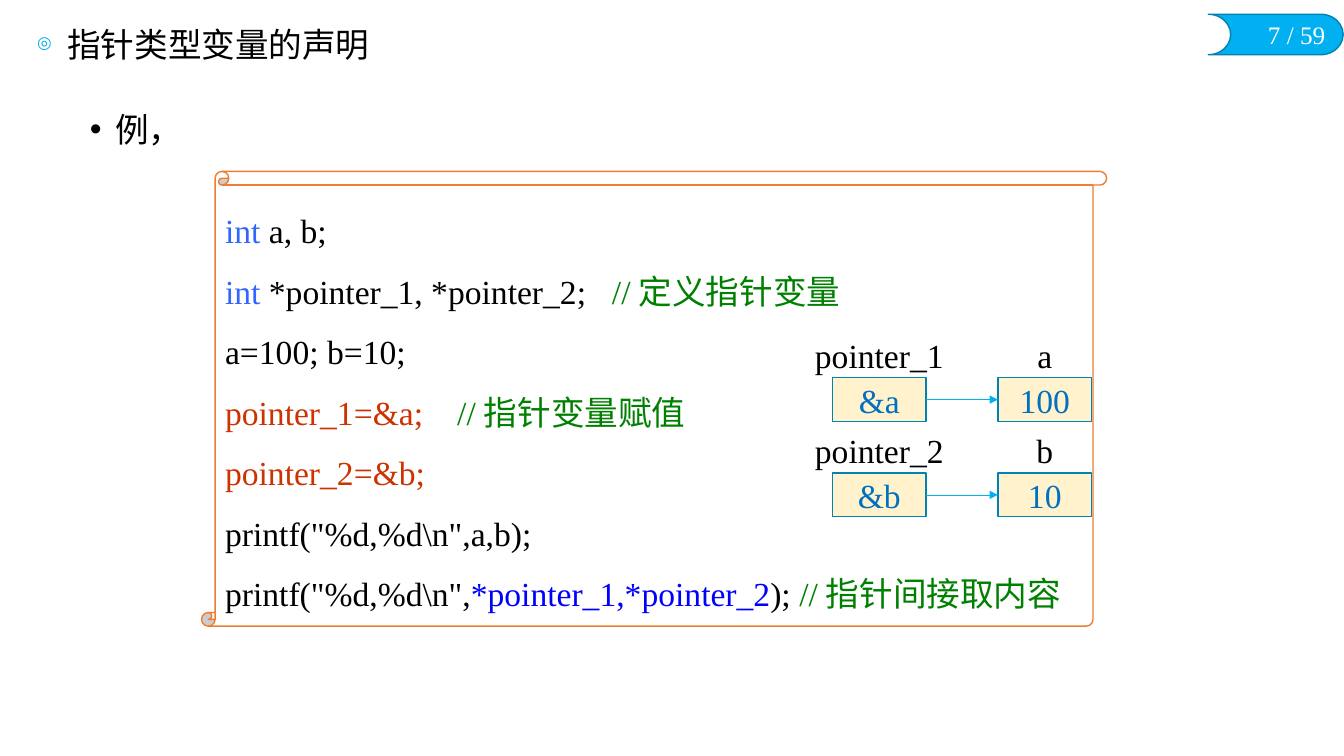
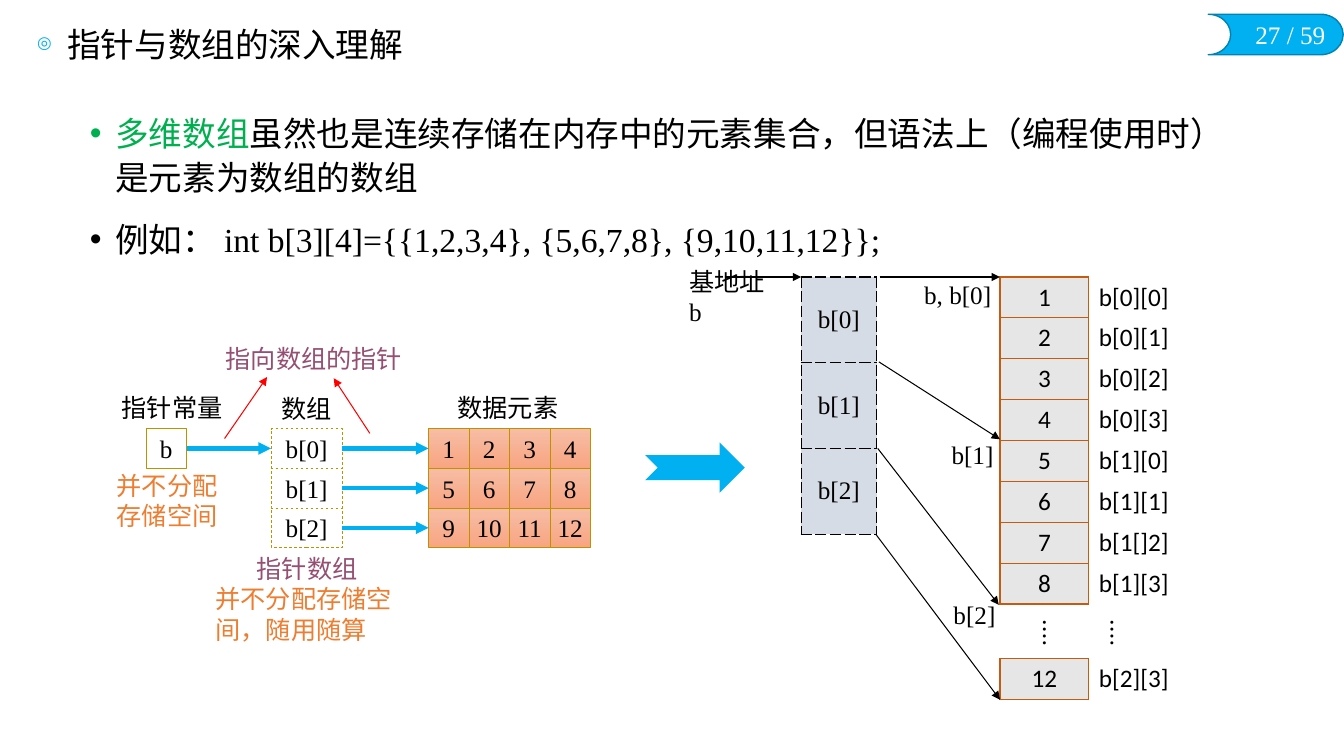
from lxml import etree
from pptx import Presentation
from pptx.dml.color import RGBColor
from pptx.enum.dml import MSO_LINE
from pptx.enum.shapes import MSO_CONNECTOR, MSO_SHAPE
from pptx.enum.text import MSO_ANCHOR, MSO_AUTO_SIZE, PP_ALIGN
from pptx.oxml.ns import qn
from pptx.util import Cm, Pt

RECT, SCROLL = MSO_SHAPE.RECTANGLE, MSO_SHAPE.VERTICAL_SCROLL
TAG, ARROW = MSO_SHAPE.FLOWCHART_STORED_DATA, MSO_SHAPE.NOTCHED_RIGHT_ARROW
LEFT, MID, RIGHT = PP_ALIGN.LEFT, PP_ALIGN.CENTER, PP_ALIGN.RIGHT
TOP, CENTRE = MSO_ANCHOR.TOP, MSO_ANCHOR.MIDDLE
FIXED = MSO_AUTO_SIZE.NONE
STRAIGHT = MSO_CONNECTOR.STRAIGHT
DASH = MSO_LINE.DASH

SERIF, SANS = "Times New Roman", "Calibri"
BLACK, WHITE, SKY, TEAL = "000000", "FFFFFF", "00B0F0", "0082B2"
ORANGE, PLUM, GOLD, RUST = "ED7D31", "954F72", "BF9000", "C55A11"
GREEN, NOTE, KEY, BRICK, BLUE = "00B050", "008000", "3366FF", "CC3300", "0000FF"
CREAM, AZURE, RED = "FFF2CC", "0070C0", "FF0000"
GREY, STEEL = "E7E6E6", "D6DCE5"
PEACH = ("F7BDA5", "F8A582")

SNUG = dict(word_wrap=True, vertical_anchor=CENTRE, margin_left=Cm(0.1),
            margin_right=Cm(0.1), margin_top=0, margin_bottom=0)
TIGHT = dict(SNUG, margin_left=0, margin_right=0)
HEAD = dict(word_wrap=True, auto_size=FIXED, vertical_anchor=CENTRE)
LIST = dict(HEAD, vertical_anchor=TOP)
rgb = RGBColor.from_string


def write(frame, lines, size=18, look=SNUG, face=SERIF, **para):
    """Fill a text frame; each line is a list of (text, colour) runs."""
    for name, value in look.items():
        setattr(frame, name, value)
    for i, runs in enumerate(lines):
        par = frame.add_paragraph() if i else frame.paragraphs[0]
        for name, value in para.items():
            setattr(par, name, value)
        if not i:
            par.space_before = Pt(0)
        for text, hue in runs:
            run = par.add_run()
            run.text = text
            run.font.name, run.font.size = face, Pt(size)
            run.font.color.rgb = rgb(hue)


def put(page, kind, box, fill, edge=None, width=1):
    """Add a flat shape; a pair of fill colours makes a downward gradient."""
    shape = page.shapes.add_shape(kind, *map(Cm, box))
    shape.shadow.inherit = False
    if isinstance(fill, tuple):
        shape.fill.gradient()
        shape.fill.gradient_angle = 270
        for stop, hue in zip(shape.fill.gradient_stops, fill):
            stop.color.rgb = rgb(hue)
    else:
        shape.fill.solid()
        shape.fill.fore_color.rgb = rgb(fill)
    if edge:
        shape.line.color.rgb = rgb(edge)
        shape.line.width = Pt(width)
    else:
        shape.line.fill.background()
    return shape


deck = Presentation()
deck.slide_width, deck.slide_height = Cm(33.87), Cm(19.05)

# Title, page tag and list of every slide
topics = [
    (7, "指针类型变量的声明", 1, [[("例，", BLACK)]]),
    (27, "指针与数组的深入理解", 1.1, [
        [("多维数组", GREEN),
         ("虽然也是连续存储在内存中的元素集合，但语法上（编程使用时）是元素为数组的数组", BLACK)],
        [("例如：int b[3][4]={{1,2,3,4}, {5,6,7,8}, {9,10,11,12}};", BLACK)]]),
]
pages = []
for num, topic, space, points in topics:
    page = deck.slides.add_slide(deck.slide_layouts[1])
    pages.append(page)
    tag = put(page, TAG, (30.45, 0.36, 3.4, 1.02), SKY, TEAL)
    tag.element.spPr.xfrm.set("flipH", "1")
    count = page.shapes.add_textbox(Cm(30.5), Cm(0.36), Cm(3), Cm(1.02))
    write(count.text_frame, [[(f"{num} / 59", WHITE)]], alignment=RIGHT)

    title, body = page.placeholders
    for holder, box in ((title, (0.68, 0.58, 16.18, 1.17)),
                        (body, (2.01, 2.62, 29.74, 15.42))):
        holder.left, holder.top, holder.width, holder.height = map(Cm, box)
    write(title.text_frame, [[(topic, BLACK)]], 24, HEAD,
          alignment=LEFT, line_spacing=0.9)
    write(body.text_frame, points, 24, LIST, line_spacing=space,
          space_before=Pt(6), space_after=Pt(6))

    for holder, mark, dent in ((title, "◎", 0.76), (body, "•", 0.64)):
        for par in holder.text_frame.paragraphs:
            props = par._p.get_or_add_pPr()
            props.set("marL", str(Cm(dent)))
            props.set("indent", str(-Cm(dent)))
            if holder is title:
                tint = etree.SubElement(props, qn("a:buClr"))
                etree.SubElement(tint, qn("a:srgbClr"), val=SKY)
                etree.SubElement(props, qn("a:buSzPct"), val="50000")
            etree.SubElement(props, qn("a:buChar"), char=mark)
first, second = pages
links = []  # page, two joined shapes or four coordinates, colour, width

# Code scroll
scroll = put(first, SCROLL, (5.08, 4.32, 22.81, 11.46), WHITE, ORANGE)
scroll.adjustments[0] = 0.03
code = scroll.text_frame
write(code, [
    [("int", KEY), (" a, b;", BLACK)],
    [("int", KEY), (" *pointer_1, *pointer_2;\t", BLACK), ("//定义指针变量", NOTE)],
    [("a=100; b=10;", BLACK)],
    [("pointer_1=&a;\t", BRICK), ("//指针变量赋值", NOTE)],
    [("pointer_2=&b;", BRICK)],
    [('printf("%d,%d\\n",a,b);', BLACK)],
    [('printf("%d,%d\\n",', BLACK), ("*pointer_1,*pointer_2", BLUE),
     ("); ", BLACK), ("//指针间接取内容", NOTE)],
], 24, dict(vertical_anchor=TOP, word_wrap=True), alignment=LEFT, line_spacing=1.5)
for row, stop in ((1, 9.75), (3, 5.85)):
    tabs = etree.SubElement(code.paragraphs[row]._p.get_or_add_pPr(), qn("a:tabLst"))
    etree.SubElement(tabs, qn("a:tab"), pos=str(Cm(stop)), algn="l")

# Pointers and the variables they point to
for row, pair in enumerate(((("pointer_1", "&a"), ("a", "100")),
                            (("pointer_2", "&b"), ("b", "10")))):
    y = 9.52 + 2.4 * row
    ends = []
    for x, (name, value) in zip((20.98, 25.15), pair):
        cell = put(first, RECT, (x, y, 2.36, 1.1), CREAM, TEAL)
        write(cell.text_frame, [[(value, AZURE)]], 24, alignment=MID)
        label = first.shapes.add_textbox(Cm(x - 0.82), Cm(y - 1.21), Cm(4), Cm(1.27))
        write(label.text_frame, [[(name, BLACK)]], 24, alignment=MID)
        ends.append(cell)
    links.append((first, ends, SKY, 0.5))

# Memory tables
names = ["b[0][0]", "b[0][1]", "b[0][2]", "b[0][3]", "b[1][0]", "b[1][1]",
         "b[1[]2]", "b[1][3]", "⁞", "b[2][3]"]
values = [*"12345678", "⁞", "12"]
grids = [
    (25.2, (2.24, 2.44), [1.03] * 8 + [1.38, 1.03], list(zip(values, names)),
     SANS, GREY, RUST, "solid"),
    (20.19, (1.9,), [2.16] * 3, [(f"b[{i}]",) for i in range(3)],
     SERIF, STEEL, BLACK, "dash"),
]
for x, wides, highs, data, face, fill, edge, dash in grids:
    grid = second.shapes.add_table(len(highs), len(wides), Cm(x), Cm(6.98),
                                   Cm(sum(wides)), Cm(sum(highs))).table
    grid.first_row = grid.horz_banding = False
    for col, wide in zip(grid.columns, wides):
        col.width = Cm(wide)
    for r, (high, texts) in enumerate(zip(highs, data)):
        grid.rows[r].height = Cm(high)
        for c, text in enumerate(texts):
            cell = grid.cell(r, c)
            gap = text == "⁞"
            cell.vertical_anchor = CENTRE
            cell.margin_top = cell.margin_bottom = Cm(0.1)
            if gap and c:
                cell.margin_left = Cm(0.5)
            write(cell.text_frame, [[(text, BLACK)]], look={}, face=face,
                  alignment=LEFT if c else MID)
            sides = ("" if c else "TB") if gap else ("L" if c else "LRTB")
            props = cell._tc.get_or_add_tcPr()
            for side in "LRTB":
                rule = etree.SubElement(props, qn(f"a:ln{side}"), w=str(Pt(1)))
                if side in sides:
                    paint = etree.SubElement(rule, qn("a:solidFill"))
                    etree.SubElement(paint, qn("a:srgbClr"), val=edge)
                    etree.SubElement(rule, qn("a:prstDash"), val=dash)
                else:
                    etree.SubElement(rule, qn("a:noFill"))
            if gap or c:
                cell.fill.background()
            else:
                cell.fill.solid()
                cell.fill.fore_color.rgb = rgb(fill)

# Pointer constant, pointer array and data elements
boxes = {}
plan = [("b", 3.68, 10.8, 1.02, WHITE)]
plan += [(f"b[{i}]", 6.83, 10.8 + i, 1.8, WHITE) for i in range(3)]
plan += [(str(n + 1), 10.8 + 1.02 * (n % 4), 10.8 + n // 4, 1.02, PEACH)
         for n in range(12)]
for text, x, y, wide, fill in plan:
    box = boxes[text] = put(second, RECT, (x, y, wide, 1), fill, GOLD, 0.5)
    write(box.text_frame, [[(text, BLACK)]], look=TIGHT, alignment=MID)
    if text.startswith("b["):
        box.line.dash_style = DASH
put(second, ARROW, (16.26, 11.15, 2.51, 1.27), SKY)

labels = [
    ("基地址b", 17.27, 7.09, 2.46, 0.76, BLACK),
    ("b, b[0]", 23.19, 7.04, 2, 0.76, BLACK),
    ("b[1]", 23.88, 11.07, 1.3, 0.76, BLACK),
    ("b[2]", 23.93, 15.11, 1.3, 0.76, BLACK),
    ("指针常量", 2.97, 9.88, 2.9, 0.76, BLACK),
    ("数组", 6.99, 9.91, 1.6, 0.76, BLACK),
    ("数据元素", 11.43, 9.88, 2.9, 0.76, BLACK),
    ("并不分配存储空间", 2.84, 11.84, 2.77, 1.55, ORANGE),
    ("指针数组", 6.37, 13.94, 2.9, 0.76, PLUM),
    ("并不分配存储空间，随用随算", 5.33, 14.71, 4.8, 1.52, ORANGE),
    ("指向数组的指针", 5.59, 8.64, 4.8, 0.76, PLUM),
]
for text, *box, hue in labels:
    label = second.shapes.add_textbox(*map(Cm, box))
    write(label.text_frame, [[(text, hue)]])

# Arrows
for tail, head in (("b", "b[0]"), ("b[0]", "1"), ("b[1]", "5"), ("b[2]", "9")):
    links.append((second, (boxes[tail], boxes[head]), SKY, 3))
for ends, hue in (
        ((18.29, 6.98, 20.19, 6.98), BLACK),
        ((22.17, 6.98, 25.2, 6.98), BLACK),
        ((22.15, 9.12, 25.2, 11.07), BLACK),
        ((22.12, 11.3, 25.17, 15.24), BLACK),
        ((22.07, 13.46, 25.2, 17.63), BLACK),
        ((5.66, 11.05, 6.73, 9.5), RED),
        ((9.32, 10.92, 8.41, 9.53), RED)):
    links.append((second, ends, hue, 0.75))
for page, ends, hue, width in links:
    joined = len(ends) == 2
    spots = [0] * 4 if joined else map(Cm, ends)
    link = page.shapes.add_connector(STRAIGHT, *spots)
    if joined:
        link.begin_connect(ends[0], 3)
        link.end_connect(ends[1], 1)
    link.line.color.rgb = rgb(hue)
    link.line.width = Pt(width)
    props = link.element.spPr
    etree.SubElement(props.find(qn("a:ln")), qn("a:tailEnd"), type="triangle")
    etree.SubElement(props, qn("a:effectLst"))

deck.save("out.pptx")
